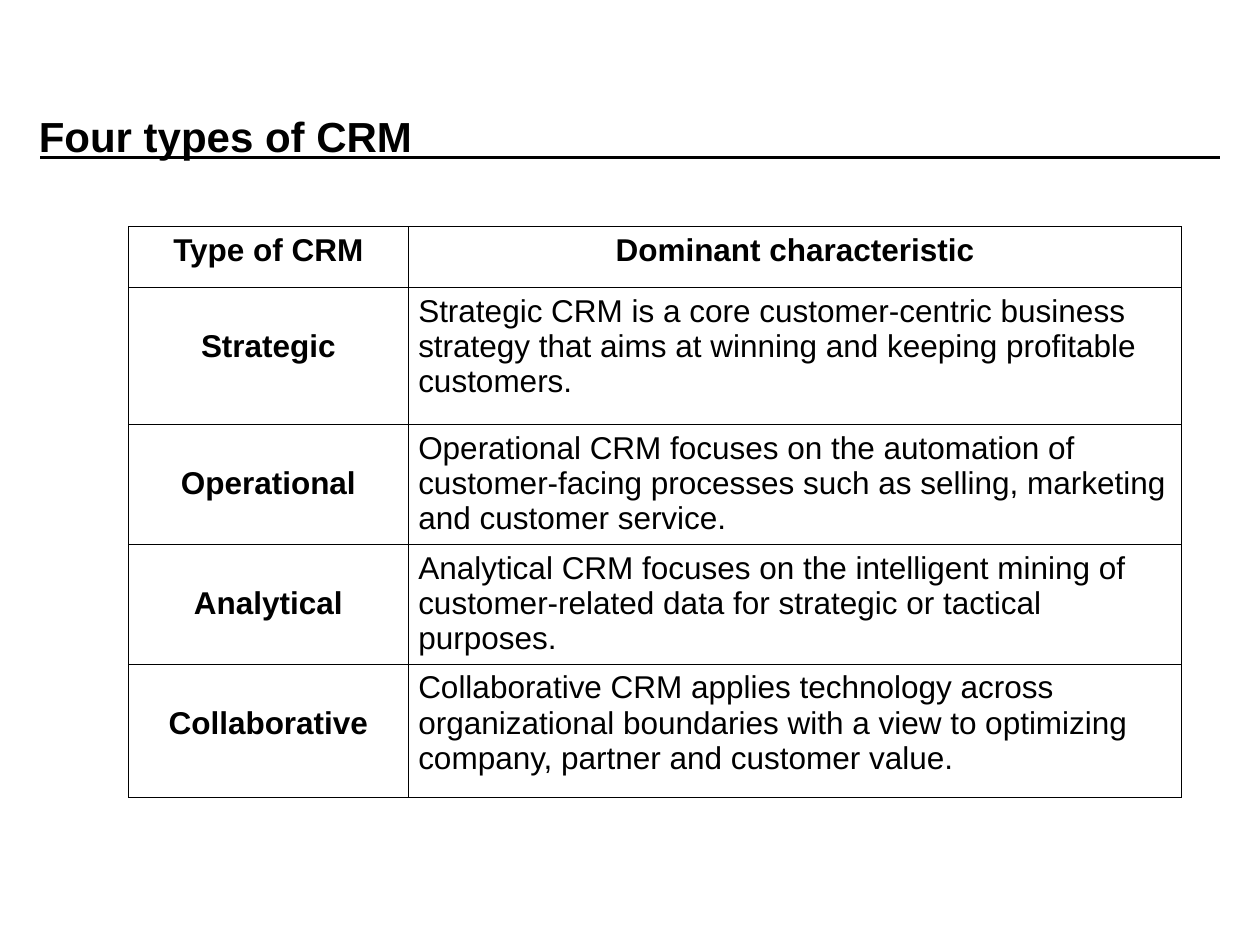
"""Build the slide on the four types of CRM."""
from lxml.etree import SubElement
from pptx import Presentation
from pptx.dml.color import RGBColor
from pptx.enum.shapes import MSO_CONNECTOR
from pptx.enum.text import MSO_ANCHOR, PP_ALIGN
from pptx.oxml import parse_xml
from pptx.oxml.ns import nsdecls, qn
from pptx.util import Inches, Pt

COLORS = {"ink": "000000", "paper": "FFFFFF"}
INK = RGBColor.from_string(COLORS["ink"])
COLUMNS = [2.22, 6.14]
ROW_HEIGHTS = [0.48, 1.09, 0.95, 0.95, 1.06]
ROWS = [
    ("Type of CRM", "Dominant characteristic"),
    ("Strategic", "Strategic CRM is a core customer-centric business strategy "
     "that aims at winning and keeping profitable customers."),
    ("Operational", "Operational CRM focuses on the automation of customer-facing "
     "processes such as selling, marketing and customer service."),
    ("Analytical", "Analytical CRM focuses on the intelligent mining of "
     "customer-related data for strategic or tactical purposes."),
    ("Collaborative", "Collaborative CRM applies technology across organizational "
     "boundaries with a view to optimizing company, partner and customer value."),
]


def write(tf, text, size, bold, align):
    p = tf.paragraphs[0]
    p.alignment = align
    r = p.add_run()
    r.text = text
    font = {"name": "Arial", "size": Pt(size), "bold": bold}
    for key, value in font.items():
        setattr(r.font, key, value)
    r.font.color.rgb = INK


def add_borders(cell):
    tcPr = cell._tc.get_or_add_tcPr()
    for i, side in enumerate(("lnL", "lnR", "lnT", "lnB")):
        tcPr.insert(i, parse_xml(
            f'<a:{side} {nsdecls("a")} w="{Pt(0.45)}"><a:solidFill>'
            f'<a:srgbClr val="{COLORS["ink"]}"/></a:solidFill></a:{side}>'))


prs = Presentation()
prs.slide_width, prs.slide_height = Inches(10), Inches(7.5)
s = prs.slides.add_slide(prs.slide_layouts[6])
s.background.fill.solid()
s.background.fill.fore_color.rgb = RGBColor.from_string(COLORS["paper"])

rule = s.shapes.add_connector(MSO_CONNECTOR.STRAIGHT, Inches(0.32), Inches(1.25),
                              Inches(9.68), Inches(1.25))
rule.line.color.rgb = INK
rule.line.width = Pt(2)
SubElement(rule._element.spPr, qn("a:effectLst"))

frame = s.shapes.add_table(len(ROWS), len(COLUMNS), Inches(1.02), Inches(1.8),
                           Inches(sum(COLUMNS)), Inches(sum(ROW_HEIGHTS)))
table = frame.table
for column, width in zip(table.columns, COLUMNS):
    column.width = Inches(width)
for i, (row, height, texts) in enumerate(zip(table.rows, ROW_HEIGHTS, ROWS)):
    row.height = Inches(height)
    for j, (cell, text) in enumerate(zip(row.cells, texts)):
        is_label = i > 0 and j == 0
        strong = i == 0 or is_label
        layout = {
            "margin_left": Inches(0.08), "margin_right": Inches(0.08),
            "margin_top": Inches(0.33 if is_label else 0.05),
            "margin_bottom": Inches(0.05), "vertical_anchor": MSO_ANCHOR.TOP,
        }
        for key, value in layout.items():
            setattr(cell, key, value)
        cell.fill.background()
        add_borders(cell)
        write(cell.text_frame, text, 18, strong,
              PP_ALIGN.CENTER if strong else PP_ALIGN.LEFT)

title = s.shapes.add_textbox(Inches(0.21), Inches(0.42), Inches(8.5), Inches(1.25))
tf = title.text_frame
title_layout = {"word_wrap": True, "vertical_anchor": MSO_ANCHOR.BOTTOM,
                "margin_bottom": Inches(0.39)}
for key, value in title_layout.items():
    setattr(tf, key, value)
write(tf, "Four types of CRM", 24, True, PP_ALIGN.LEFT)

prs.save("out.pptx")
